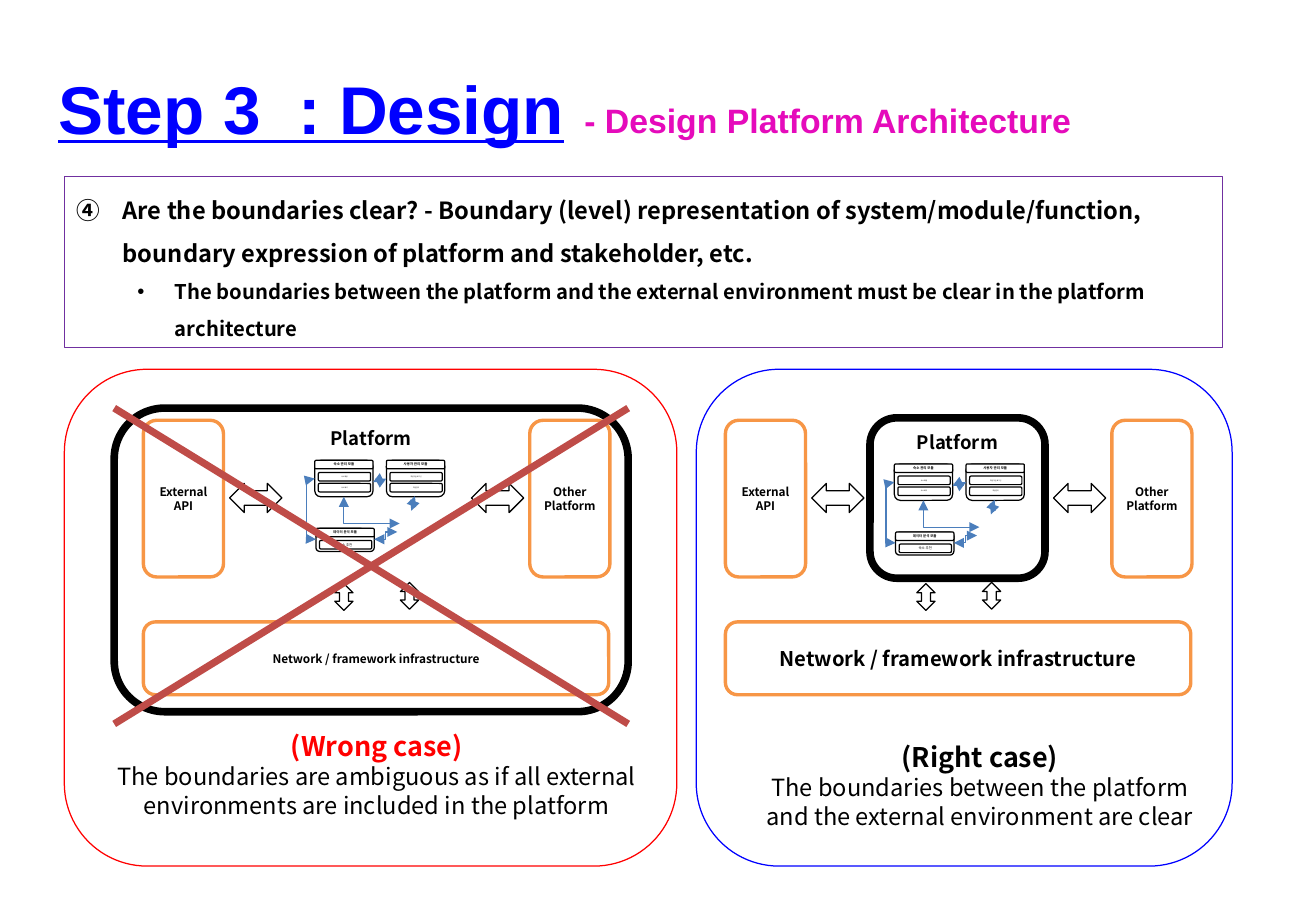
"""Build the Step 3 design slide that contrasts unclear and clear platform boundaries."""
import dataclasses

import lxml.etree
import pptx
import pptx.dml.color
import pptx.enum.shapes
import pptx.enum.text
import pptx.oxml.ns
import pptx.shapes.connector
import pptx.util


@dataclasses.dataclass(frozen=True)
class Theme:
    heading_font: str = "Arial"
    text_font: str = "Noto Sans CJK KR"
    black: str = "000000"
    white: str = "FFFFFF"
    blue: str = "0000FF"
    red: str = "FF0000"
    magenta: str = "E50BBB"
    purple: str = "7030A0"
    orange: str = "F79646"
    flow: str = "4B7EBC"
    cross: str = "BF4C48"
    title: int = 40
    subtitle: int = 20
    caption: int = 16
    body: int = 14
    detail: int = 12
    platform: int = 11
    label: int = 7
    module: int = 2
    function: int = 1
    thin: float = 0.75
    medium: float = 2
    cross_width: float = 4.25
    thick: float = 4.5


theme = Theme()
Inches = pptx.util.Inches
Pt = pptx.util.Pt
qn = pptx.oxml.ns.qn
rgb = pptx.dml.color.RGBColor.from_string
PRESET = pptx.enum.shapes.MSO_SHAPE
CONNECTOR = pptx.enum.shapes.MSO_CONNECTOR
ALIGN = pptx.enum.text.PP_ALIGN
ANCHOR = pptx.enum.text.MSO_ANCHOR
NO_FIT = pptx.enum.text.MSO_AUTO_SIZE.NONE


def style(para, size, color=theme.black, bold=True, face=theme.text_font, align=ALIGN.CENTER):
    para.alignment = align
    font = para.font
    font.name, font.size, font.bold = face, Pt(size), bold
    font.color.rgb = rgb(color)
    defaults = para._p.pPr.find(qn("a:defRPr"))
    lxml.etree.SubElement(defaults, qn("a:ea"), typeface=face)


def block(preset, left, top, width, height, line, weight, fill=None, text="", size=theme.label, bold=True):
    shape = page.shapes.add_shape(preset, Inches(left), Inches(top), Inches(width), Inches(height))
    shape.shadow.inherit = False
    shape.line.color.rgb = rgb(line)
    shape.line.width = Pt(weight)
    if fill:
        shape.fill.solid()
        shape.fill.fore_color.rgb = rgb(fill)
    else:
        shape.fill.background()
    if text:
        frame = shape.text_frame
        frame.word_wrap = True
        frame.margin_left = frame.margin_right = frame.margin_top = frame.margin_bottom = 0
        frame.vertical_anchor = ANCHOR.MIDDLE
        frame.text = text
        for para in frame.paragraphs:
            style(para, size, bold=bold)
    return shape


deck = pptx.Presentation()
deck.slide_width, deck.slide_height = Inches(10.83), Inches(7.5)
page = deck.slides.add_slide(deck.slide_layouts[1])

title = page.shapes.title
title.left, title.top, title.width, title.height = map(Inches, (0.38, 0.5, 8.74, 0.77))
title.text_frame.auto_size = NO_FIT
title.text_frame.vertical_anchor = ANCHOR.TOP
title.text_frame.text = "Step 3  : Design"
style(title.text_frame.paragraphs[0], theme.title, theme.blue, face=theme.heading_font, align=ALIGN.LEFT)
title.text_frame.paragraphs[0].font.underline = True

question = page.placeholders[1]
question.left, question.top, question.width, question.height = map(Inches, (0.53, 1.45, 9.53, 1.41))
question.line.color.rgb = rgb(theme.purple)
question.line.width = Pt(theme.thin)
question.text_frame.auto_size = NO_FIT
question.text_frame.text = (
    "Are the boundaries clear? - Boundary (level) representation of system/module/function, "
    "boundary expression of platform and stakeholder, etc.\n"
    "The boundaries between the platform and the external environment must be clear "
    "in the platform architecture"
)
bullets = (
    (0.38, 0.38, theme.body, "a:buAutoNum", {"type": "circleNumDbPlain", "startAt": "4"}),
    (0.81, 0.31, theme.detail, "a:buChar", {"char": "•"}),
)
for para, (margin, hanging, size, tag, settings) in zip(question.text_frame.paragraphs, bullets):
    para.level = 1
    properties = para._p.get_or_add_pPr()
    properties.set("marL", str(Inches(margin)))
    properties.set("indent", str(-Inches(hanging)))
    if tag == "a:buChar":
        lxml.etree.SubElement(properties, qn("a:buFont"), typeface=theme.heading_font)
    lxml.etree.SubElement(properties, qn(tag), settings)
    para.line_spacing = 1.5
    para.space_before = Pt(0)
    style(para, size, align=ALIGN.LEFT)

modules = (
    (2.59, 3.79, "숙소 관리 모듈", (("숙소 제공", theme.function), ("숙소 예약", theme.function))),
    (3.18, 3.79, "사용자 관리 모듈", (("회원가입/로그인", theme.function), ("회원관리", theme.function))),
    (2.6, 4.35, "데이터 분석 모듈", (("숙소 추천", theme.module),)),
)
flows = (
    ((3.46, 4.16), (3.34, 4.13), "bentConnector3", 90, None),
    ((3.18, 3.94), (3.07, 3.97), "bentConnector3", 0, None),
    ((2.59, 3.94), (2.6, 4.44), "bentConnector3", 0, -7),
    ((3.29, 4.31), (2.83, 4.09), "bentConnector2", 0, None),
    ((3.27, 4.38), (3.08, 4.44), "bentConnector3", 0, None),
)
cases = (
    (0, 0, 0, (0.94, 3.36, 4.23, 2.5), 0.03, theme.label),
    (4.79, 4.77, 0.03, (7.16, 3.44, 1.44, 1.32), 0.04, theme.detail),
)
for shift, module_shift, module_drop, boundary, inset, network_size in cases:
    platform = block(PRESET.ROUNDED_RECTANGLE, *boundary, theme.black, theme.thick, theme.white,
                     "Platform", theme.platform)
    platform.text_frame.vertical_anchor = ANCHOR.TOP
    platform.text_frame.margin_top = Inches(inset)

    for left, top, width, height, turn in (
        (1.89, 3.98, 0.43, 0.24, 0), (3.88, 3.98, 0.43, 0.24, 0),
        (2.72, 4.84, 0.22, 0.15, 90), (3.26, 4.83, 0.22, 0.15, 90),
    ):
        arrow = block(PRESET.LEFT_RIGHT_ARROW, left + shift, top, width, height, theme.black, theme.thin)
        arrow.rotation = turn

    for left, top, width, height, text, size in (
        (1.18, 3.46, 0.66, 1.29, "External\nAPI", theme.label),
        (4.36, 3.46, 0.66, 1.29, "Other\nPlatform", theme.label),
        (1.18, 5.12, 3.83, 0.6, "Network / framework infrastructure", network_size),
    ):
        block(PRESET.ROUNDED_RECTANGLE, left + shift, top, width, height, theme.orange, theme.medium,
              theme.white, text, size)

    for left, top, name, functions in modules:
        left, top = left + module_shift, top + module_drop
        outline = (theme.black, theme.thin, theme.white)
        block(PRESET.ROUNDED_RECTANGLE, left, top, 0.48, 0.08 + 0.11 * len(functions), *outline)
        block(PRESET.ROUNDED_RECTANGLE, left, top, 0.48, 0.07, *outline, name, theme.module)
        for row, (function, size) in enumerate(functions):
            block(PRESET.ROUNDED_RECTANGLE, left + 0.03, top + 0.1 + 0.09 * row, 0.43, 0.07,
                  *outline, function, size, False)

    for start, end, preset, turn, bend in flows:
        points = [Inches(value + offset) for point in (start, end)
                  for value, offset in zip(point, (module_shift, module_drop))]
        flow = page.shapes.add_connector(CONNECTOR.ELBOW, *points)
        flow.line.color.rgb = rgb(theme.flow)
        flow.line.width = Pt(theme.thin)
        properties = flow._element.spPr
        properties.find(qn("a:xfrm")).set("rot", str(turn * 60000))
        geometry = properties.find(qn("a:prstGeom"))
        geometry.set("prst", preset)
        if bend is not None:
            lxml.etree.SubElement(geometry.find(qn("a:avLst")), qn("a:gd"),
                                  name="adj1", fmla=f"val {bend * 100000}")
        for tip in ("a:headEnd", "a:tailEnd"):
            lxml.etree.SubElement(properties.find(qn("a:ln")), qn(tip), type="triangle")

captions = (
    (0.84, 5.96, 4.52, "(Wrong case)", theme.red,
     "The boundaries are ambiguous as if all external environments are included in the platform"),
    (6.06, 6.05, 4.01, "(Right case)", theme.black,
     "The boundaries between the platform and the external environment are clear"),
)
for left, top, width, verdict, color, reason in captions:
    box = page.shapes.add_textbox(Inches(left), Inches(top), Inches(width), Inches(0.84))
    box.text_frame.word_wrap = True
    box.text_frame.text = f"{verdict}\n{reason}"
    style(box.text_frame.paragraphs[0], theme.caption, color)
    style(box.text_frame.paragraphs[1], theme.body, bold=False)

for start, end in ((0.94, 5.17), (5.17, 0.94)):
    stroke = page.shapes.add_connector(CONNECTOR.STRAIGHT, Inches(start), Inches(5.96), Inches(end), Inches(3.36))
    stroke.line.color.rgb = rgb(theme.cross)
    stroke.line.width = Pt(theme.cross_width)

for left, width, color in ((0.53, 5.04, theme.red), (5.73, 4.41, theme.blue)):
    block(PRESET.ROUNDED_RECTANGLE, left, 3.04, width, 4.09, color, theme.thin)

subtitle = page.shapes.add_textbox(Inches(4.71), Inches(0.77), Inches(4.32), Inches(0.44))
subtitle.text_frame.word_wrap = False
subtitle.text_frame.text = "- Design Platform Architecture"
style(subtitle.text_frame.paragraphs[0], theme.subtitle, theme.magenta,
      face=theme.heading_font, align=ALIGN.LEFT)

for shape in page.shapes:
    if isinstance(shape, pptx.shapes.connector.Connector):
        lxml.etree.SubElement(shape._element.spPr, qn("a:effectLst"))

deck.save("out.pptx")
